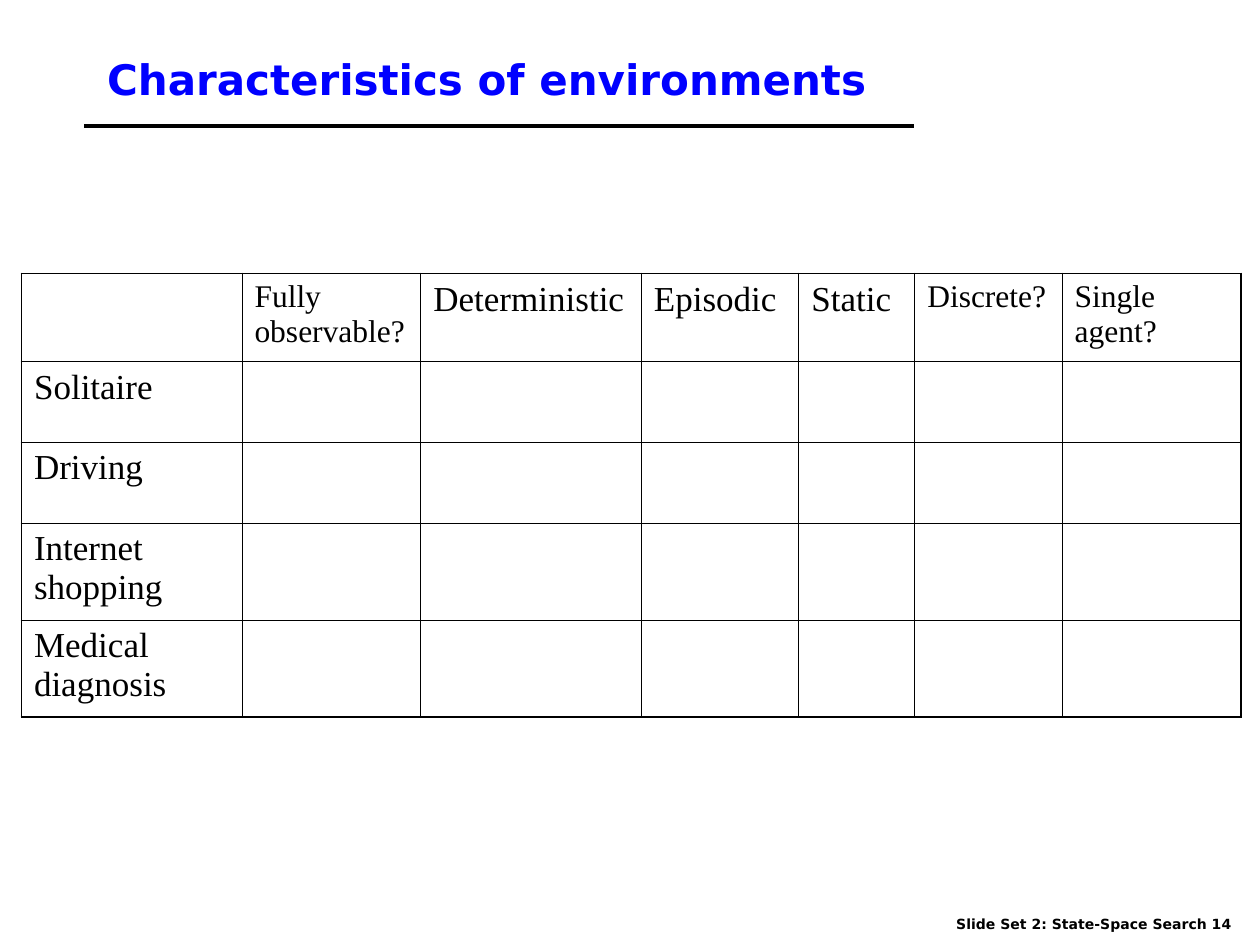
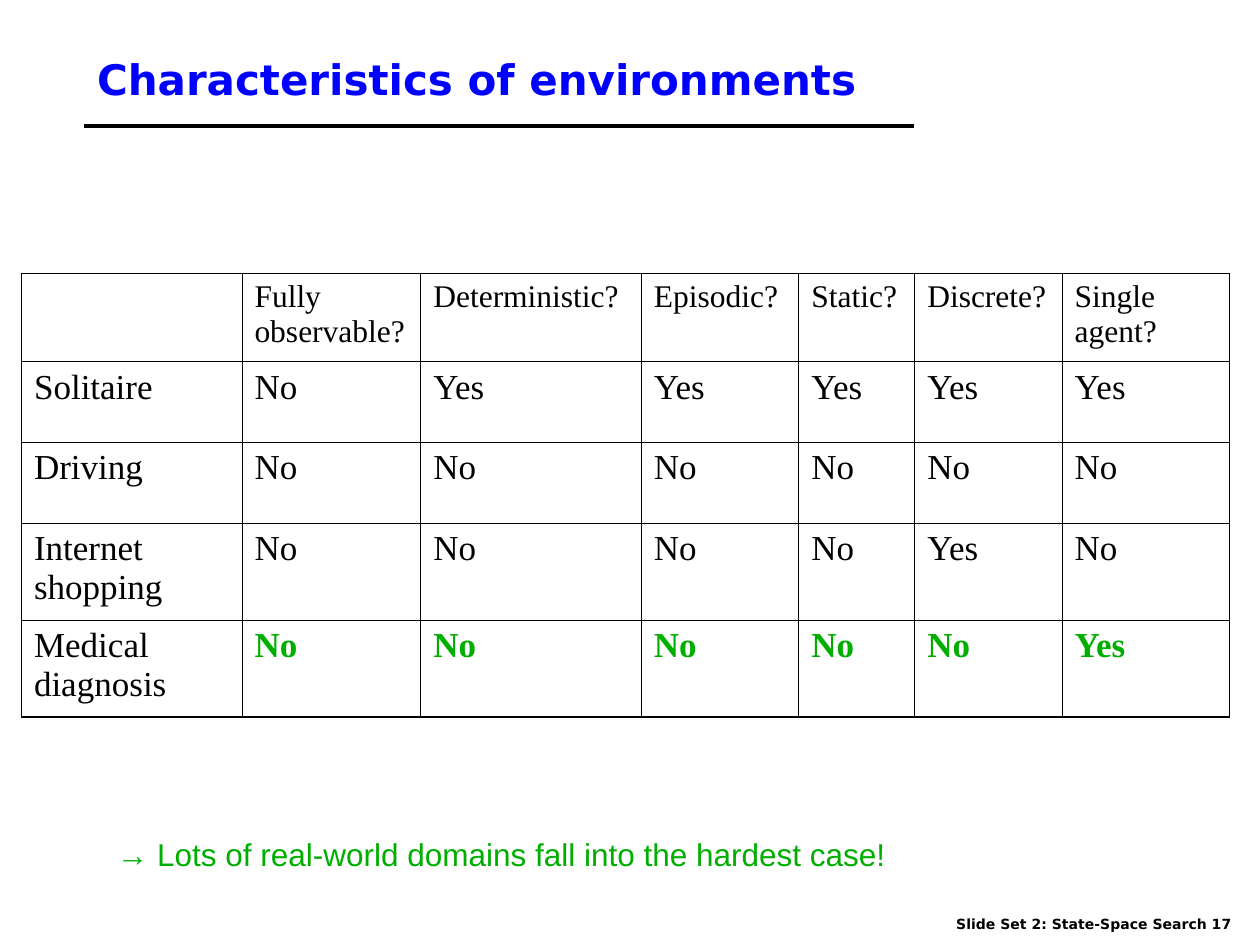
from lxml import etree
from pptx import Presentation
from pptx import util as u
from pptx.dml.color import RGBColor
from pptx.enum import shapes, text
from pptx.oxml import ns

BLACK = RGBColor(0x00, 0x00, 0x00)
BLUE = RGBColor(0x00, 0x00, 0xFF)
GREEN = RGBColor(0x00, 0xAE, 0x00)

HEADING_FONT = "DejaVu Sans"
TABLE_FONT = "Times New Roman"
NOTE_FONT = "Arial"

TITLE = "Characteristics of environments"
FOOTER = "Slide Set 2: State-Space Search"
ENVIRONMENTS = ["Solitaire", "Driving", "Internet shopping", "Medical diagnosis"]

COLUMN_WIDTHS = [1.75, 1.42, 1.75, 1.25, 0.92, 1.17]
ROW_HEIGHTS = [0.7, 0.64, 0.64, 0.77, 0.77]
INNER_BORDER, OUTER_BORDER = 0.45, 1.08


def write(frame, words, size, font, color=BLACK, bold=False):
    paragraph = frame.paragraphs[0]
    paragraph.alignment = text.PP_ALIGN.LEFT
    run = paragraph.add_run()
    run.text = words
    run.font.size = u.Pt(size)
    run.font.name = font
    run.font.bold = bold
    run.font.color.rgb = color


def add_title(slide, left):
    title = slide.shapes.title
    title.left, title.top = u.Inches(left), u.Inches(0.25)
    title.width, title.height = u.Inches(8.5), u.Inches(0.75)
    title.text_frame.auto_size = text.MSO_AUTO_SIZE.NONE
    title.text_frame.vertical_anchor = text.MSO_ANCHOR.MIDDLE
    write(title.text_frame, TITLE, 24, HEADING_FONT, BLUE, bold=True)


def add_title_rule(slide):
    rule = slide.shapes.add_connector(
        shapes.MSO_CONNECTOR.STRAIGHT,
        u.Inches(0.67), u.Inches(1), u.Inches(7.25), u.Inches(1))
    rule.line.color.rgb = BLACK
    rule.line.width = u.Pt(2.25)
    etree.SubElement(rule._element.spPr, ns.qn("a:effectLst"))


def add_text(slide, words, left, top, width, height, wrap=True, **style):
    box = slide.shapes.add_textbox(
        u.Inches(left), u.Inches(top), u.Inches(width), u.Inches(height))
    box.text_frame.word_wrap = wrap
    box.text_frame.auto_size = text.MSO_AUTO_SIZE.SHAPE_TO_FIT_TEXT
    write(box.text_frame, words, **style)


def set_borders(cell, widths):
    """Draw solid black cell borders; widths are points for L, R, T and B."""
    properties = cell._tc.get_or_add_tcPr()
    for side, width in zip("LRTB", widths):
        line = etree.SubElement(properties, ns.qn(f"a:ln{side}"), w=str(u.Pt(width)))
        fill = etree.SubElement(line, ns.qn("a:solidFill"))
        etree.SubElement(fill, ns.qn("a:srgbClr"), val=str(BLACK))


def add_environment_table(slide, headings, answers, last_width):
    """Headings are (words, size) pairs; answers has one list per environment."""
    widths = COLUMN_WIDTHS + [last_width]
    table = slide.shapes.add_table(
        len(ROW_HEIGHTS), len(widths), u.Inches(0.17), u.Inches(2.17),
        u.Inches(sum(widths)), u.Inches(sum(ROW_HEIGHTS))).table
    table.first_row = table.horz_banding = False
    for column, width in zip(table.columns, widths):
        column.width = u.Inches(width)
    for row, height in zip(table.rows, ROW_HEIGHTS):
        row.height = u.Inches(height)

    last_row, last_column = len(ROW_HEIGHTS) - 1, len(widths) - 1
    for r in range(last_row + 1):
        for c in range(last_column + 1):
            cell = table.cell(r, c)
            on_edge = (c == 0, c == last_column, r == 0, r == last_row)
            set_borders(cell, [OUTER_BORDER if edge else INNER_BORDER for edge in on_edge])
            cell.fill.background()

    for c, (heading, size) in enumerate(headings, start=1):
        write(table.cell(0, c).text_frame, heading, size, TABLE_FONT)
    for r, environment in enumerate(ENVIRONMENTS, start=1):
        write(table.cell(r, 0).text_frame, environment, 20, TABLE_FONT)
    for r, row_answers in enumerate(answers, start=1):
        hardest = r == last_row
        for c, answer in enumerate(row_answers, start=1):
            write(table.cell(r, c).text_frame, answer, 20, TABLE_FONT,
                  GREEN if hardest else BLACK, bold=hardest)


def add_environment_slide(deck, number, title_left):
    slide = deck.slides.add_slide(deck.slide_layouts[5])
    add_text(slide, f"{FOOTER} {number}", 7.49, 7.22, 2.48, 0.25, wrap=False,
             size=8, font=HEADING_FONT, bold=True)
    add_title_rule(slide)
    add_title(slide, title_left)
    return slide


def main():
    deck = Presentation()
    deck.slide_width, deck.slide_height = u.Inches(10), u.Inches(7.5)

    question = add_environment_slide(deck, 14, title_left=0.75)
    add_environment_table(
        question,
        [("Fully observable?", 18), ("Deterministic", 20), ("Episodic", 20),
         ("Static", 20), ("Discrete?", 18), ("Single agent?", 18)],
        answers=[], last_width=1.42)

    solution = add_environment_slide(deck, 17, title_left=0.67)
    headings = ["Fully observable?", "Deterministic?", "Episodic?",
                "Static?", "Discrete?", "Single agent?"]
    add_environment_table(
        solution, [(heading, 18) for heading in headings],
        answers=[["No", "Yes", "Yes", "Yes", "Yes", "Yes"],
                 ["No", "No", "No", "No", "No", "No"],
                 ["No", "No", "No", "No", "Yes", "No"],
                 ["No", "No", "No", "No", "No", "Yes"]],
        last_width=1.33)
    add_text(solution, "→ Lots of real-world domains fall into the hardest case!",
             0.83, 6.58, 8.42, 0.4, size=18, font=NOTE_FONT, color=GREEN)

    deck.save("out.pptx")


if __name__ == "__main__":
    main()
